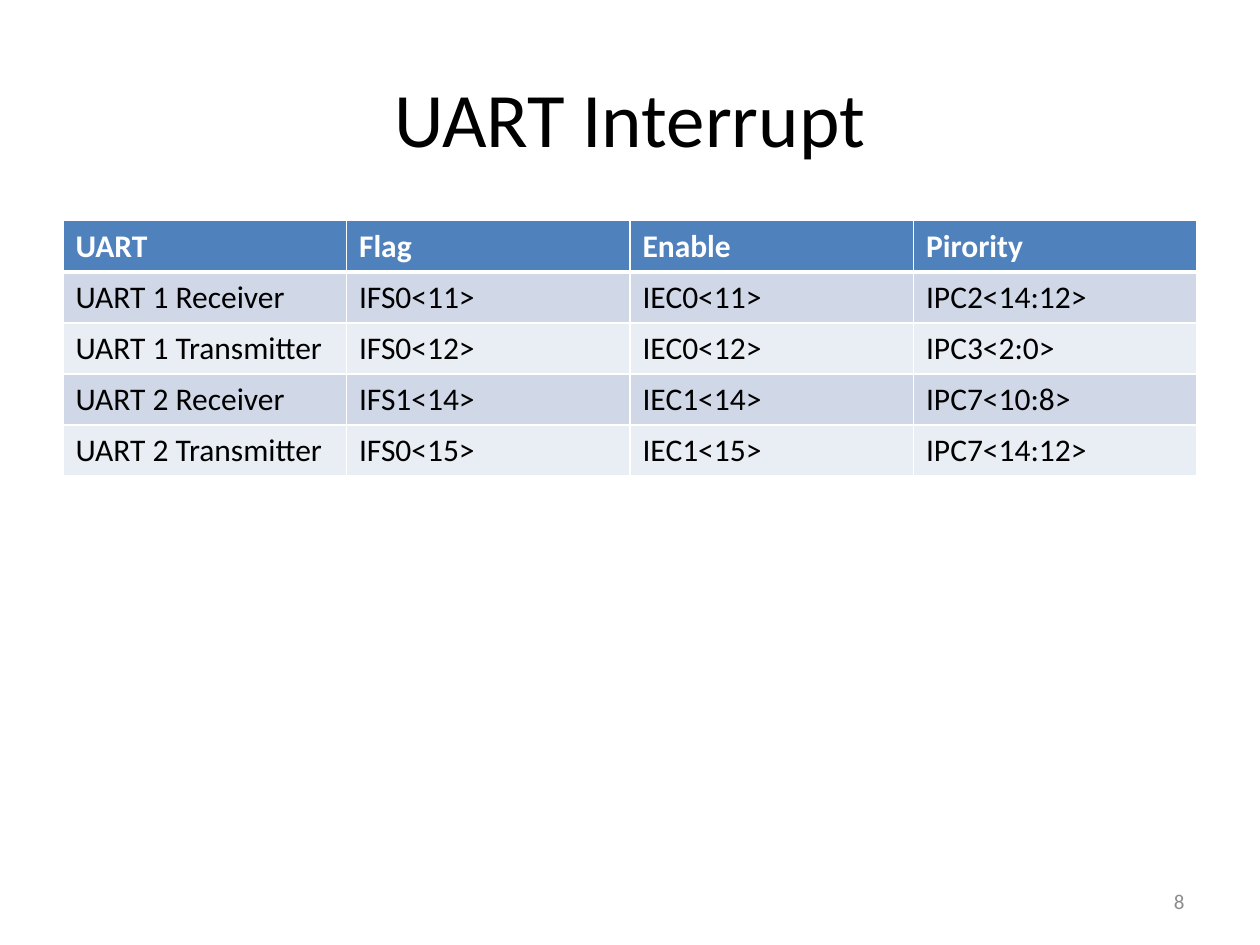
from lxml import etree
from pptx import Presentation
from pptx.dml.color import RGBColor
from pptx.enum.text import MSO_ANCHOR, PP_ALIGN
from pptx.oxml.ns import qn
from pptx.util import Cm, Pt

MIDDLE = MSO_ANCHOR.MIDDLE
LEFT, CENTER, RIGHT = PP_ALIGN.LEFT, PP_ALIGN.CENTER, PP_ALIGN.RIGHT
TITLE_ONLY = 5

WHITE, BLACK, GRAY, BLUE = "FFFFFF", "000000", "8C8C8C", "4F81BD"
BANDS = ("D0D8E8", "E9EDF4")

INTERRUPTS = [
    ("UART", "Flag", "Enable", "Pirority"),
    ("UART 1 Receiver", "IFS0<11>", "IEC0<11>", "IPC2<14:12>"),
    ("UART 1 Transmitter", "IFS0<12>", "IEC0<12>", "IPC3<2:0>"),
    ("UART 2 Receiver", "IFS1<14>", "IEC1<14>", "IPC7<10:8>"),
    ("UART 2 Transmitter", "IFS0<15>", "IEC1<15>", "IPC7<14:12>"),
]


def color(value):
    return RGBColor.from_string(value)


class SlideBuilder:
    font_name = "Calibri"

    def __init__(self, presentation):
        self.slide = presentation.slides.add_slide(presentation.slide_layouts[TITLE_ONLY])

    def set_text(self, text_frame, text, size, text_color, alignment=LEFT, bold=False):
        text_frame.text = text
        paragraph = text_frame.paragraphs[0]
        paragraph.alignment = alignment
        font = paragraph.runs[0].font
        for name, value in {"name": self.font_name, "size": Pt(size), "bold": bold}.items():
            setattr(font, name, value)
        font.color.rgb = color(text_color)

    def place(self, shape, left, top, width, height):
        box = {"left": left, "top": top, "width": width, "height": height}
        for name, value in box.items():
            setattr(shape, name, Cm(value))

    def title(self, text, box, size):
        shape = self.slide.shapes.title
        self.place(shape, *box)
        shape.text_frame.vertical_anchor = MIDDLE
        self.set_text(shape.text_frame, text, size, BLACK, CENTER)

    def text(self, text, box, size, text_color, alignment):
        shape = self.slide.shapes.add_textbox(*map(Cm, box))
        shape.text_frame.word_wrap = True
        shape.text_frame.vertical_anchor = MIDDLE
        self.set_text(shape.text_frame, text, size, text_color, alignment)

    def borders(self, cell, widths):
        properties = cell._tc.get_or_add_tcPr()
        for side, width in widths.items():
            line = etree.SubElement(properties, qn(f"a:ln{side}"), w=str(Pt(width)))
            fill = etree.SubElement(line, qn("a:solidFill"))
            etree.SubElement(fill, qn("a:srgbClr"), val=WHITE)

    def table(self, rows, box, size):
        frame = self.slide.shapes.add_table(len(rows), len(rows[0]), *map(Cm, box))
        table = frame.table
        for row_index, row in enumerate(rows):
            header = row_index == 0
            background = BLUE if header else BANDS[(row_index - 1) % 2]
            widths = {"L": 1, "R": 1, "T": 3 if row_index == 1 else 1, "B": 3 if header else 1}
            for column_index, text in enumerate(row):
                cell = table.cell(row_index, column_index)
                self.borders(cell, widths)
                cell.fill.solid()
                cell.fill.fore_color.rgb = color(background)
                self.set_text(cell.text_frame, text, size, WHITE if header else BLACK, bold=header)


presentation = Presentation()
presentation.slide_width = Cm(25.4)
presentation.slide_height = Cm(19.05)

builder = SlideBuilder(presentation)
builder.title("UART Interrupt", (1.27, 0.76, 22.86, 3.18), 44)
builder.table(INTERRUPTS, (1.27, 4.45, 22.86, 5.15), 18)
builder.text("8", (18.2, 17.66, 5.93, 1.01), 12, GRAY, RIGHT)

presentation.save("out.pptx")
